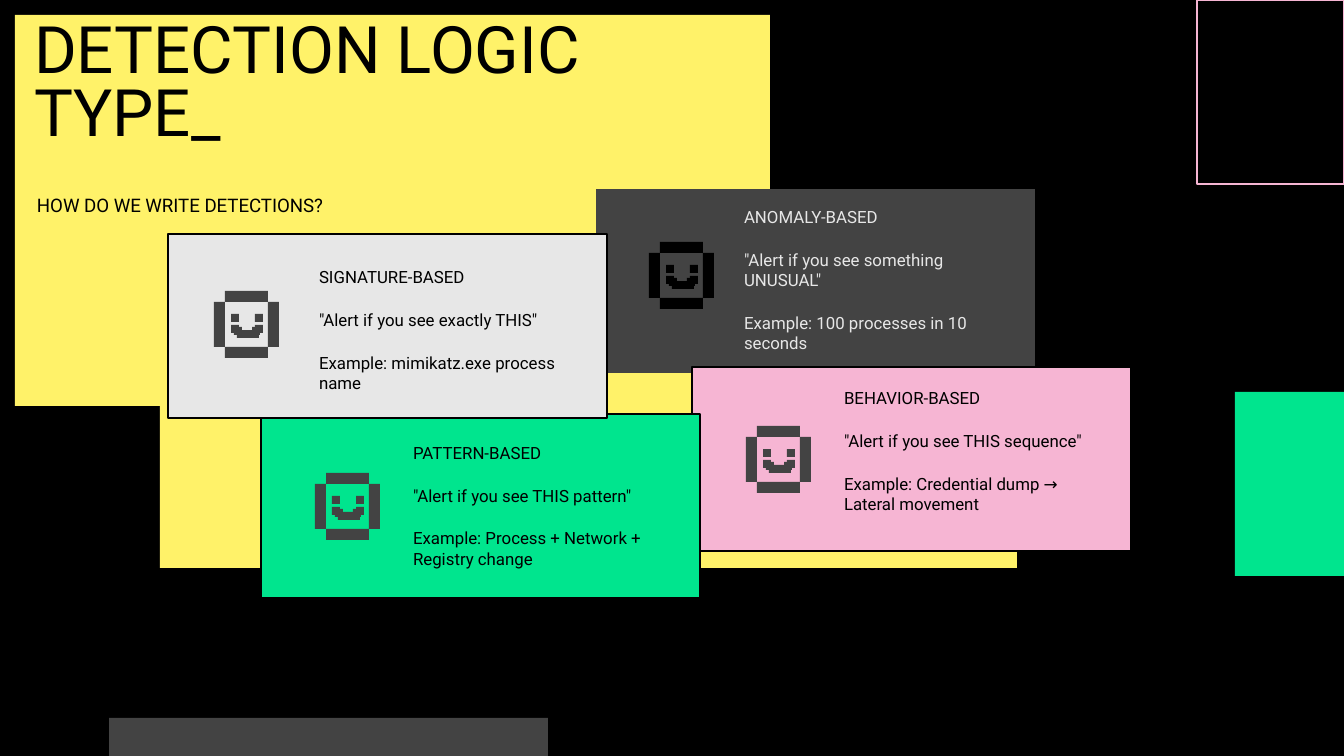
from pptx import Presentation
from pptx.dml.color import RGBColor
from pptx.enum.shapes import MSO_SHAPE
from pptx.enum.text import MSO_ANCHOR, MSO_AUTO_SIZE, PP_ALIGN
from pptx.util import Pt

RECTANGLE = MSO_SHAPE.RECTANGLE
TOP, BOTTOM = MSO_ANCHOR.TOP, MSO_ANCHOR.BOTTOM
LEFT = PP_ALIGN.LEFT
NO_FIT = MSO_AUTO_SIZE.NONE

EMU_PER_PX = 914400 / 134.4
FONT = "Roboto"
BLACK, YELLOW, GRAY = "000000", "FFF269", "434343"
PINK, GREEN, LIGHT = "F6B5D3", "00E58E", "E7E7E7"

# Content
TITLE = "DETECTION LOGIC TYPE_"
SUBTITLE = "HOW DO WE WRITE DETECTIONS?"

# Plain blocks: left, top, width, height, fill, line
BLOCKS = [
    (15, 15, 755, 391, YELLOW, None),
    (160, 219, 857, 349, YELLOW, None),
    (109, 718, 439, 38, GRAY, None),
    (1235, 392, 109, 184, GREEN, None),
    (1197, 0, 147, 184, BLACK, PINK),
]

# Cards from back to front; text and face are offsets from the card's corner
CARD_WIDTH, CARD_HEIGHT = 439, 184
TEXT_WIDTH, TEXT_HEIGHT = 281, 137
CARDS = [
    dict(at=(596, 189), text=(135, 5), face=(53, 53), fill=GRAY, line=None,
         ink=LIGHT, face_color=BLACK,
         lines=["ANOMALY-BASED", '"Alert if you see something UNUSUAL"',
                "Example: 100 processes in 10 seconds"]),
    dict(at=(692, 367), text=(139, 8), face=(54, 59), fill=PINK, line=BLACK,
         ink=BLACK, face_color=GRAY,
         lines=["BEHAVIOR-BASED", '"Alert if you see THIS sequence"',
                "Example: Credential dump → Lateral movement"]),
    dict(at=(261, 414), text=(139, 16), face=(54, 59), fill=GREEN, line=BLACK,
         ink=BLACK, face_color=GRAY,
         lines=["PATTERN-BASED", '"Alert if you see THIS pattern"',
                "Example: Process + Network + Registry change"]),
    dict(at=(168, 234), text=(138, 20), face=(46, 57), fill=LIGHT, line=BLACK,
         ink=BLACK, face_color=GRAY,
         lines=["SIGNATURE-BASED", '"Alert if you see exactly THIS"',
                "Example: mimikatz.exe process name"]),
]

# Pixel face: left, top, width, height of each part
FACE_PARTS = [
    (0, 11, 11, 45), (54, 11, 11, 45), (11, 56, 43, 11), (11, 0, 43, 11),  # frame
    (17, 23, 8, 8), (41, 23, 8, 8),  # eyes
    (17, 34, 8, 8), (20, 36, 8, 8), (23, 39, 22, 8),  # mouth
    (38, 36, 8, 8), (41, 34, 8, 8),
]


def px(value):
    return round(value * EMU_PER_PX)


def color(value):
    return RGBColor.from_string(value)


def add_block(shapes, left, top, width, height, fill, line=None):
    block = shapes.add_shape(RECTANGLE, px(left), px(top), px(width), px(height))
    block.shadow.inherit = False
    block.fill.solid()
    block.fill.fore_color.rgb = color(fill)
    if line:
        block.line.color.rgb = color(line)
        block.line.width = Pt(0.75)
    else:
        block.line.fill.background()


def write(box, lines, size, ink=BLACK, inset=0, gap=0, spacing=1.0, anchor=TOP):
    frame = box.text_frame
    frame.word_wrap = True
    frame.auto_size = NO_FIT
    frame.vertical_anchor = anchor
    frame.margin_left = frame.margin_right = px(inset)
    frame.margin_top = frame.margin_bottom = px(inset)
    for index, line in enumerate(lines):
        para = frame.add_paragraph() if index else frame.paragraphs[0]
        para.alignment = LEFT
        para.line_spacing = spacing
        para.space_before = Pt(gap if index else 0)
        span = para.add_run()
        span.text = line
        span.font.name = FONT
        span.font.size = Pt(size)
        span.font.color.rgb = color(ink)


def add_text(page, left, top, width, height, lines, **style):
    box = page.shapes.add_textbox(px(left), px(top), px(width), px(height))
    write(box, lines, **style)


def add_card(page, card):
    left, top = card["at"]
    add_block(page.shapes, left, top, CARD_WIDTH, CARD_HEIGHT, card["fill"], card["line"])
    text_x, text_y = card["text"]
    add_text(page, left + text_x, top + text_y, TEXT_WIDTH, TEXT_HEIGHT,
             card["lines"], size=9, ink=card["ink"], inset=13, gap=12)
    face_x, face_y = card["face"]
    face = page.shapes.add_group_shape()
    for x, y, width, height in FACE_PARTS:
        add_block(face.shapes, left + face_x + x, top + face_y + y,
                  width, height, card["face_color"])


def main():
    deck = Presentation()
    deck.slide_width, deck.slide_height = px(1344), px(756)
    page = deck.slides.add_slide(deck.slide_layouts[5])
    page.background.fill.solid()
    page.background.fill.fore_color.rgb = color(BLACK)

    for block in BLOCKS:
        add_block(page.shapes, *block)

    # Title, brought in front of the yellow panel
    title = page.shapes.title
    title.left, title.top, title.width, title.height = px(34), px(21), px(620), px(128)
    write(title, [TITLE], size=35, spacing=0.8, anchor=BOTTOM)
    page.shapes._spTree.append(title._element)

    add_text(page, 37, 194, 424, 118, [SUBTITLE], size=10)
    for card in CARDS:
        add_card(page, card)

    deck.save("out.pptx")


if __name__ == "__main__":
    main()
